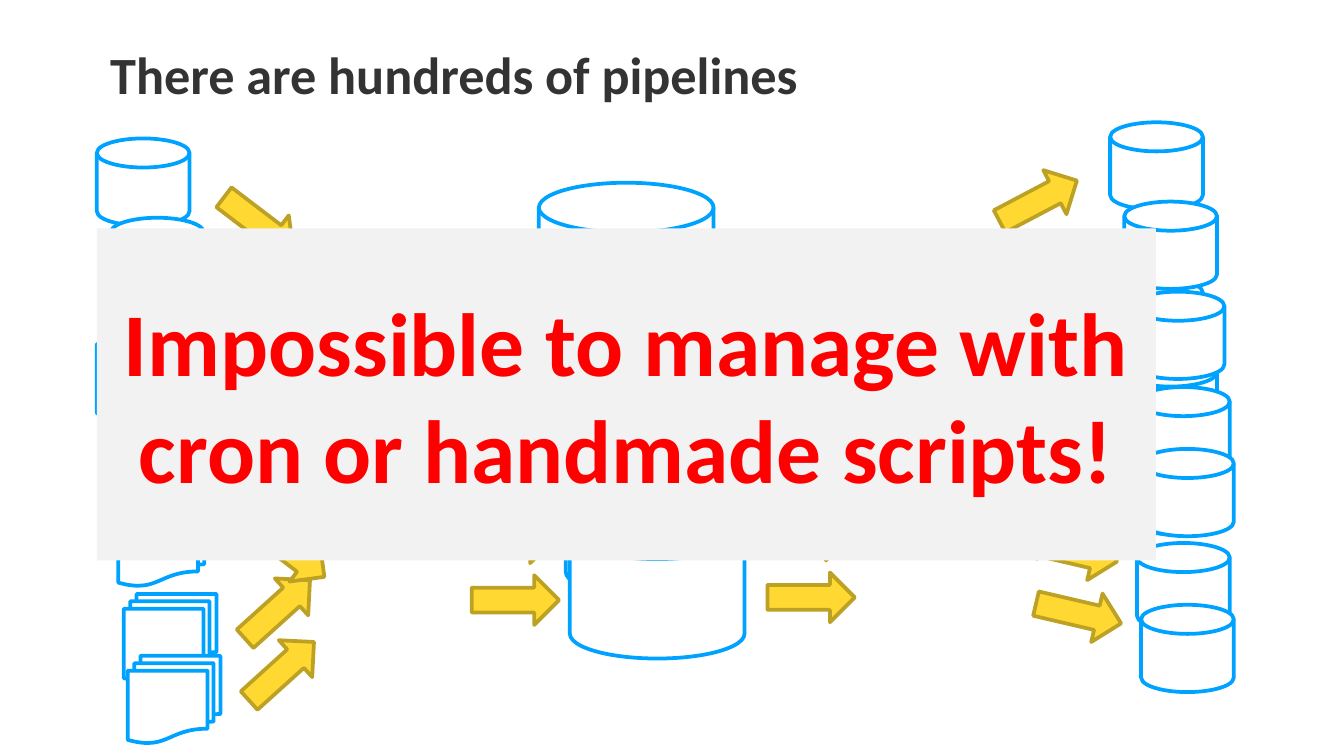
import pptx
import pptx.util
import pptx.dml.color
import pptx.enum.shapes
import pptx.enum.text

RGB = pptx.dml.color.RGBColor
KIND = pptx.enum.shapes.MSO_SHAPE
ALIGN = pptx.enum.text.PP_ALIGN

WHITE = RGB(0xFF, 0xFF, 0xFF)
BLUE = RGB(0x00, 0xA2, 0xFF)
GOLD = RGB(0xFF, 0xD9, 0x32)
OCHRE = RGB(0xBD, 0xA1, 0x25)
PALE = RGB(0xF2, 0xF2, 0xF2)
DARK = RGB(0x33, 0x33, 0x33)
RED = RGB(0xFF, 0x00, 0x00)

# Square grid on a 16:9 slide: 100 columns by 56.25 rows
COLS, ROWS = 100, 56.25
CELL = pptx.util.Inches(10) / COLS

DISK = KIND.FLOWCHART_MAGNETIC_DISK
DOCS = KIND.FLOWCHART_MULTIDOCUMENT
ARROW = KIND.DOWN_ARROW
SMALL, LARGE, SLIM = (6.9, 6.5), (13, 11.1), (3.7, 6.5)

# Parts of one pipeline, back to front: kind, column, row, size, turn
PARTS = {
    "source": (DISK, 0, 1.2, SMALL, 0),
    "files": (DOCS, 0, 15.4, SMALL, 0),
    "store": (DISK, 32.9, 4.5, LARGE, 0),
    "low": (DISK, 75.4, 11.6, SMALL, 0),
    "high": (DISK, 75.4, 0, SMALL, 0),
    "load": (ARROW, 10.2, 4.3, SLIM, 307.3),
    "lift": (ARROW, 9.6, 13.3, SLIM, 227.9),
    "enter": (ARROW, 27, 8, SLIM, 270),
    "leave": (ARROW, 49, 7.8, SLIM, 270),
    "rise": (ARROW, 68.2, 2.6, SLIM, 242.2),
    "fall": (ARROW, 68.9, 9, SLIM, 283.1),
}

# Each pipeline: column, row, and the parts it has
FLOWS = [
    (7.2, 9.1, "source files store low high load rise"),
    (8.25, 15, "source low high"),
    (8.8, 21.7, "files low high lift"),
    (9.2, 28.8, "files store low high lift enter leave fall"),
    (9.5, 33.4, "files store low high load lift enter leave rise fall"),
]


def scale(box):
    return [round(n * CELL) for n in box]


def draw(slide, kind, box, fill, line=None):
    shape = slide.shapes.add_shape(kind, *scale(box))
    shape.shadow.inherit = False
    shape.fill.solid()
    shape.fill.fore_color.rgb = fill
    if line is None:
        shape.line.fill.background()
    else:
        shape.line.color.rgb = line
        shape.line.width = pptx.util.Pt(2)
    return shape


def write(shape, text, size, color, align):
    frame = shape.text_frame
    frame.word_wrap = True
    frame.vertical_anchor = pptx.enum.text.MSO_ANCHOR.MIDDLE
    frame.margin_left = frame.margin_right = pptx.util.Inches(0.02)
    frame.margin_top = frame.margin_bottom = pptx.util.Inches(0.02)
    para = frame.paragraphs[0]
    para.text = text
    para.alignment = align
    font = para.font
    font.name, font.size, font.bold = "Calibri", pptx.util.Pt(size), True
    font.color.rgb = color


def title(slide, box):
    area = slide.shapes.add_textbox(*scale(box))
    write(area, "There are hundreds of pipelines", 28, DARK, ALIGN.LEFT)


def flow(slide, left, top, names):
    for name in names.split():
        kind, col, row, size, turn = PARTS[name]
        fill, line = (GOLD, OCHRE) if kind == ARROW else (WHITE, BLUE)
        shape = draw(slide, kind, (left + col, top + row, *size), fill, line)
        shape.rotation = turn


def banner(slide, box):
    panel = draw(slide, KIND.RECTANGLE, box, PALE)
    write(panel, "Impossible to manage with cron or handmade scripts!",
          48, RED, ALIGN.CENTER)


def main():
    deck = pptx.Presentation()
    deck.slide_width, deck.slide_height = scale((COLS, ROWS))
    slide = deck.slides.add_slide(deck.slide_layouts[6])
    title(slide, (8, 2.9, 72.1, 5.1))
    for left, top, names in FLOWS:
        flow(slide, left, top, names)
    banner(slide, (7.2, 17, 78.8, 24.7))
    deck.save("out.pptx")


if __name__ == "__main__":
    main()
